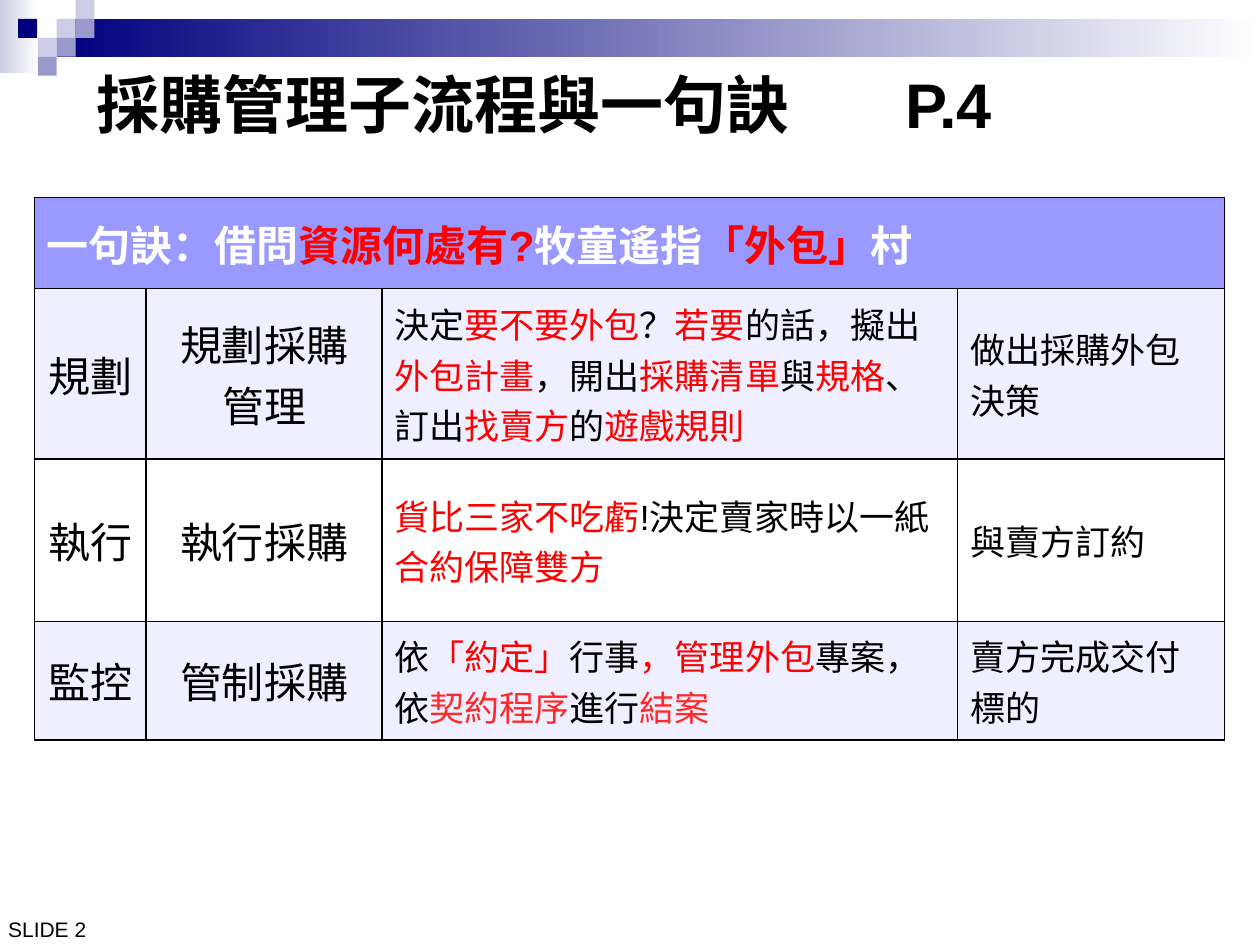
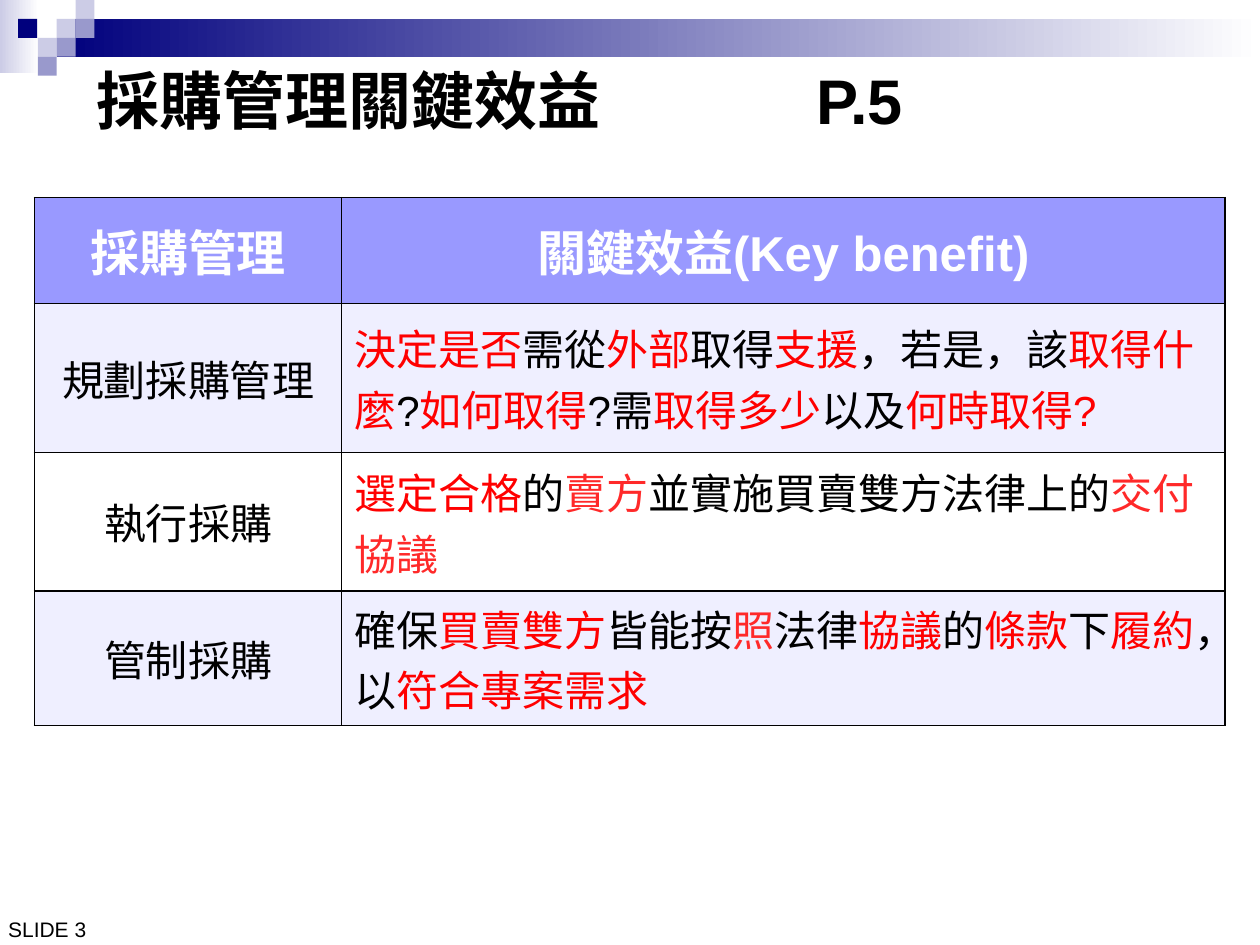
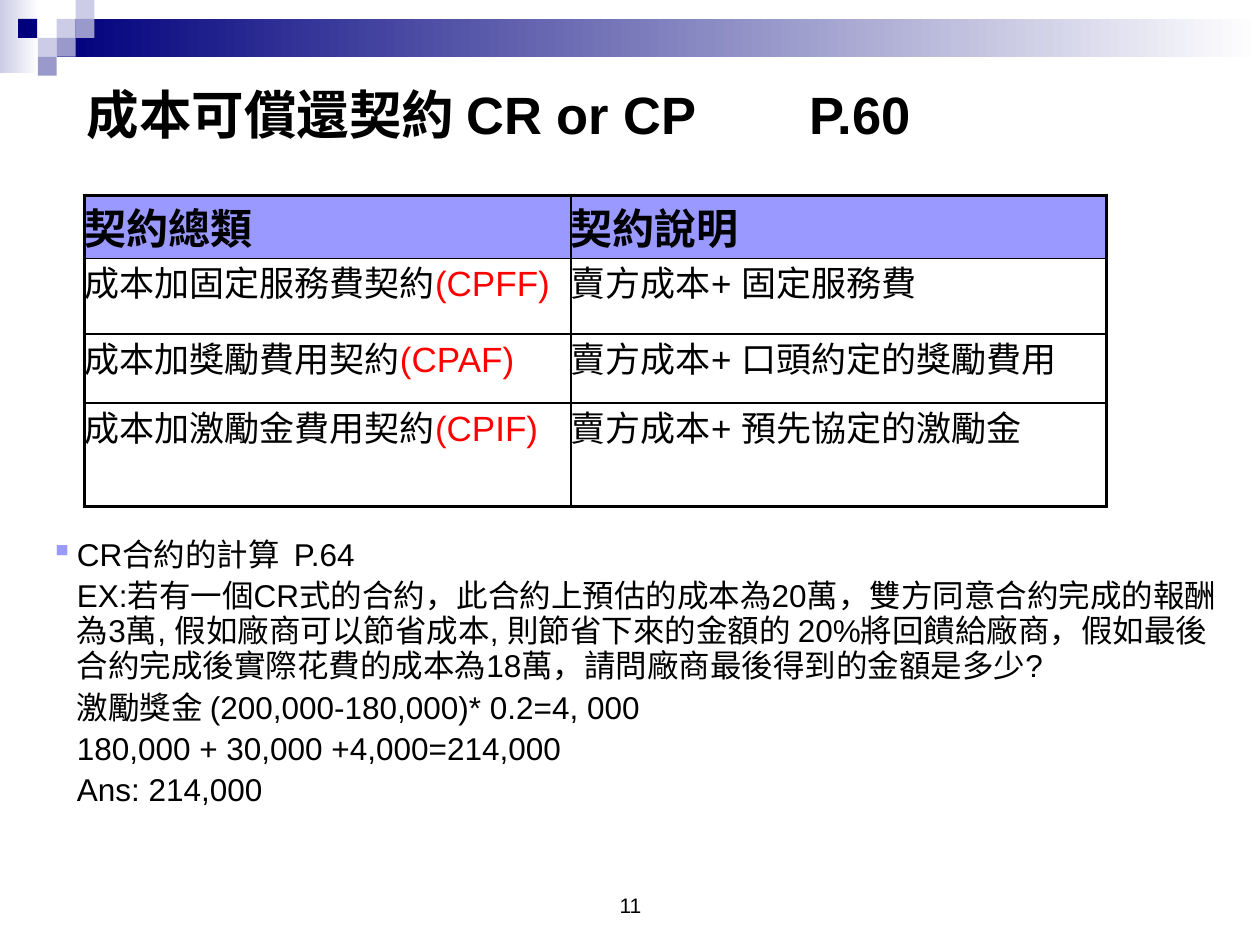
from lxml import etree
from pptx import Presentation
from pptx.dml.color import RGBColor
from pptx.enum.shapes import MSO_SHAPE
from pptx.enum.text import MSO_ANCHOR, MSO_AUTO_SIZE, PP_ALIGN
from pptx.oxml.ns import qn
from pptx.util import Pt

RECT = MSO_SHAPE.RECTANGLE
LEFT, CENTER = PP_ALIGN.LEFT, PP_ALIGN.CENTER
TOP, MIDDLE, BOTTOM = MSO_ANCHOR.TOP, MSO_ANCHOR.MIDDLE, MSO_ANCHOR.BOTTOM
NO_AUTOFIT = MSO_AUTO_SIZE.NONE

FONT = "Arial"
COLORS = {
    "ink": "000000", "white": "FFFFFF", "red": "FF0000", "coral": "FF2929",
    "navy": "00007D", "mist": "CCCCE6", "slate": "9999CC",
    "header": "9999FF", "stripe": "EFEFFF",
}
RGB = {name: RGBColor.from_string(code) for name, code in COLORS.items()}


def add_runs(paragraph, runs, size, bold=False):
    for text, color in runs:
        run = paragraph.add_run()
        run.text = text
        run.font.name = FONT
        run.font.size = Pt(size)
        run.font.bold = bold
        run.font.color.rgb = RGB[color]


def set_borders(cell, widths):
    """Draw black cell edges; widths go left, right, top, bottom."""
    tc_pr = cell._tc.get_or_add_tcPr()
    for side, width in zip("LRTB", widths):
        line = etree.SubElement(tc_pr, qn(f"a:ln{side}"), w=str(Pt(width)))
        fill = etree.SubElement(line, qn("a:solidFill"))
        etree.SubElement(fill, qn("a:srgbClr"), val=COLORS["ink"])


# Content: a cell is plain text or a list of (text, colour) runs
pages = [
    {
        "title": "採購管理子流程與一句訣\tP.4", "title_size": 36, "title_tab": 462,
        "title_box": (48.2, 20.2, 642, 77.8),
        "footer": "SLIDE 2", "footer_box": (-2.9, 521.3, 59.8, 20.2),
        "table_at": (19.6, 113), "columns": (64, 134.6, 329, 152.6),
        "heights": (52, 97.2, 92.9, 67.7),
        "sizes": (24, 24, 20, 20), "aligns": (CENTER, CENTER, LEFT, LEFT),
        "header_size": 24, "header_align": LEFT, "header_color": "white",
        "stripes": True, "outline": 1, "margins": (7.2, 3.6), "anchor": MIDDLE,
        "spacing": 1,
        "rows": [
            [[("一句訣：借問", "white"), ("資源何處有?", "red"), ("牧童遙指", "white"),
              ("「外包」", "red"), ("村", "white")]],
            ["規劃", "規劃採購\n管理",
             [("決定", "ink"), ("要不要外包", "red"), ("？", "ink"), ("若要", "red"),
              ("的話，擬出", "ink"), ("外包計畫", "red"), ("，開出", "ink"),
              ("採購清單", "red"), ("與", "ink"), ("規格", "red"), ("、訂出", "ink"),
              ("找賣方", "red"), ("的", "ink"), ("遊戲規則", "red")],
             "做出採購外包決策"],
            ["執行", "執行採購",
             [("貨比三家不吃虧", "red"), ("!決定賣家時以一紙", "ink"),
              ("合約保障雙方", "red")],
             "與賣方訂約"],
            ["監控", "管制採購",
             [("依", "ink"), ("「約定」", "red"), ("行事", "ink"), ("，管理外包", "red"),
              ("專案，依", "ink"), ("契約程序", "coral"), ("進行", "ink"),
              ("結案", "coral")],
             "賣方完成交付標的"],
        ],
    },
    {
        "title": "採購管理關鍵效益\tP.5", "title_size": 36, "title_tab": 411,
        "title_box": (48.2, 18, 642, 77.8),
        "footer": "SLIDE 3", "footer_box": (-2.9, 521.3, 59.8, 20.2),
        "table_at": (19.6, 113), "columns": (175.7, 504.7),
        "heights": (60.5, 85, 79.2, 77),
        "sizes": (24, 24), "aligns": (CENTER, LEFT),
        "header_size": 28, "header_align": CENTER, "header_color": "white",
        "stripes": True, "outline": 1, "margins": (7.2, 3.6), "anchor": MIDDLE,
        "spacing": 1,
        "rows": [
            ["採購管理", "關鍵效益(Key benefit)"],
            ["規劃採購管理",
             [("決定是否", "red"), ("需從", "ink"), ("外部", "red"), ("取得", "ink"),
              ("支援", "red"), ("，若是，該", "ink"), ("取得什麼", "red"), ("?", "ink"),
              ("如何取得", "red"), ("?需", "ink"), ("取得多少", "red"), ("以及", "ink"),
              ("何時取得?", "red")]],
            ["執行採購",
             [("選定合格", "red"), ("的", "ink"), ("賣方", "coral"),
              ("並實施買賣雙方法律上的", "ink"), ("交付協議", "coral")]],
            ["管制採購",
             [("確保", "ink"), ("買賣雙方", "red"), ("皆能按", "ink"), ("照", "coral"),
              ("法律", "ink"), ("協議", "red"), ("的", "ink"), ("條款", "red"),
              ("下", "ink"), ("履約", "red"), ("，以", "ink"), ("符合專案需求", "red")]],
        ],
    },
    {
        "title": "成本可償還契約 CR or CP\tP.60", "title_size": 30, "title_tab": 413,
        "title_box": (42.5, 31.7, 648, 66.2),
        "footer": "11", "footer_box": (246.2, 491.8, 228.2, 36),
        "table_at": (48.2, 111.6), "columns": (278, 306),
        "heights": (36, 43.2, 39.6, 59),
        "sizes": (20, 20), "aligns": (LEFT, LEFT),
        "header_size": 24, "header_align": LEFT, "header_color": "ink",
        "stripes": False, "outline": 2.25, "margins": (0, 0), "anchor": TOP,
        "spacing": 0.95,
        "rows": [
            ["契約總類", "契約說明"],
            [[("成本加固定服務費契約", "ink"), ("(CPFF)", "red")], "賣方成本+ 固定服務費"],
            [[("成本加獎勵費用契約", "ink"), ("(CPAF)", "red")],
             "賣方成本+ 口頭約定的獎勵費用"],
            [[("成本加激勵金費用契約", "ink"), ("(CPIF)", "red")],
             "賣方成本+ 預先協定的激勵金"],
        ],
    },
]

example_lines = [
    "CR合約的計算  P.64",
    "EX:若有一個CR式的合約，此合約上預估的成本為20萬，雙方同意合約完成的報酬為3萬, "
    "假如廠商可以節省成本, 則節省下來的金額的 20%將回饋給廠商，"
    "假如最後合約完成後實際花費的成本為18萬，請問廠商最後得到的金額是多少?",
    "激勵獎金 (200,000-180,000)* 0.2=4, 000",
    "180,000 + 30,000 +4,000=214,000",
    "Ans: 214,000",
]

deck = Presentation()
deck.slide_width, deck.slide_height = Pt(720), Pt(540)
title_only = deck.slide_layouts[5]
slides = [deck.slides.add_slide(title_only) for page in pages]

# Shared band and mosaic, drawn once and moved to the layout
TILE = 10.8
band_parts = [
    (0, 0, 22.3, 41.8, "mist", True),
    (32.4, TILE, 687.6, 21.6, "navy", True),
]
for left, top, color in [
    (32.4, TILE, "mist"), (43.2, 0, "mist"), (43.2, TILE, "slate"),
    (21.6, 21.6, "mist"), (10.4, TILE, "navy"), (32.4, 21.6, "slate"),
    (21.6, 32.4, "slate"),
]:
    band_parts.append((left, top, TILE, TILE, color, False))

for position, (left, top, width, height, color, fades) in enumerate(band_parts, 2):
    part = slides[0].shapes.add_shape(RECT, Pt(left), Pt(top), Pt(width), Pt(height))
    part.shadow.inherit = False
    part.line.fill.background()
    if fades:
        part.fill.gradient()
        part.fill.gradient_angle = 0
        for stop, stop_color in zip(part.fill.gradient_stops, (color, "white")):
            stop.color.rgb = RGB[stop_color]
    else:
        part.fill.solid()
        part.fill.fore_color.rgb = RGB[color]
    title_only.shapes.element.insert(position, part.element)

for slide, page in zip(slides, pages):
    # Title, with the page reference on a tab stop
    title = slide.shapes.title
    title.left, title.top, title.width, title.height = map(Pt, page["title_box"])
    title.text_frame.vertical_anchor = MIDDLE
    title.text_frame.auto_size = NO_AUTOFIT
    heading = title.text_frame.paragraphs[0]
    heading.alignment = LEFT
    tabs = etree.SubElement(heading._p.get_or_add_pPr(), qn("a:tabLst"))
    etree.SubElement(tabs, qn("a:tab"), pos=str(Pt(page["title_tab"])), algn="l")
    add_runs(heading, [(page["title"], "ink")], page["title_size"], True)

    # Table
    columns, heights = page["columns"], page["heights"]
    table = slide.shapes.add_table(
        len(heights), len(columns), *map(Pt, page["table_at"]),
        Pt(sum(columns)), Pt(sum(heights))).table
    table.first_row = table.horz_banding = False
    for column, width in zip(table.columns, columns):
        column.width = Pt(width)
    last_row, last_column = len(heights) - 1, len(columns) - 1
    outline = page["outline"]
    for r, (height, contents) in enumerate(zip(heights, page["rows"])):
        table.rows[r].height = Pt(height)
        for c in range(len(columns)):
            cell = table.cell(r, c)
            outer = (c == 0, c == last_column, r == 0, r == last_row)
            set_borders(cell, [outline if edge else 1 for edge in outer])
            if r == 0 or page["stripes"]:
                cell.fill.solid()
                fill = "header" if r == 0 else "stripe" if r % 2 else "white"
                cell.fill.fore_color.rgb = RGB[fill]
            else:
                cell.fill.background()
        if len(contents) < len(columns):
            table.cell(r, 0).merge(table.cell(r, last_column))
        for c, content in enumerate(contents):
            cell = table.cell(r, c)
            cell.vertical_anchor = page["anchor"]
            cell.margin_left = cell.margin_right = Pt(page["margins"][0])
            cell.margin_top = cell.margin_bottom = Pt(page["margins"][1])
            size, align, color = page["sizes"][c], page["aligns"][c], "ink"
            if r == 0:
                size, align = page["header_size"], page["header_align"]
                color = page["header_color"]
            if isinstance(content, str):
                lines = [[(line, color)] for line in content.split("\n")]
            else:
                lines = [content]
            frame = cell.text_frame
            for i, runs in enumerate(lines):
                paragraph = frame.add_paragraph() if i else frame.paragraphs[0]
                paragraph.alignment = align
                if r > 0:
                    paragraph.line_spacing = page["spacing"]
                add_runs(paragraph, runs, size, r == 0)

    # Footer
    footer = slide.shapes.add_textbox(*map(Pt, page["footer_box"])).text_frame
    footer.word_wrap = False
    footer.vertical_anchor = BOTTOM
    footer.paragraphs[0].alignment = CENTER
    add_runs(footer.paragraphs[0], [(page["footer"], "ink")], 12)

# Worked example under the contract table
example = slides[2].shapes.add_textbox(Pt(25.2), Pt(303.8), Pt(674.6), Pt(215.3)).text_frame
example.word_wrap = True
example.margin_left = example.margin_right = Pt(3.6)
for i, line in enumerate(example_lines):
    paragraph = example.add_paragraph() if i else example.paragraphs[0]
    paragraph.line_spacing = Pt(20)
    paragraph.space_before = Pt(3.6 if i else 0)
    p_pr = paragraph._p.get_or_add_pPr()
    p_pr.set("marL", str(Pt(15.1)))
    p_pr.set("indent", str(0 if i else -Pt(15.1)))
    if i == 0:
        bullet_color = etree.SubElement(p_pr, qn("a:buClr"))
        etree.SubElement(bullet_color, qn("a:srgbClr"), val=COLORS["header"])
        etree.SubElement(p_pr, qn("a:buChar"), char="▪")
    add_runs(paragraph, [(line, "ink")], 18)

deck.save("out.pptx")
